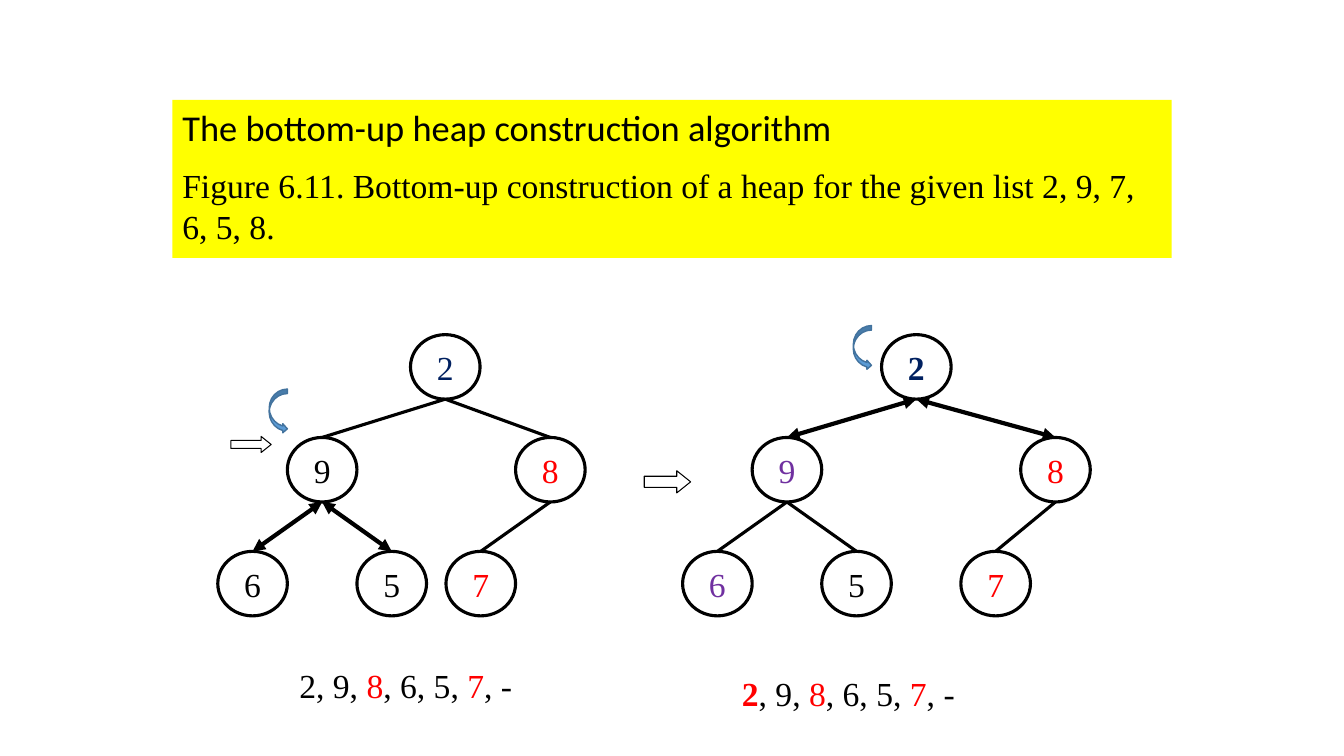
import pptx
import pptx.util
import pptx.dml.color
import pptx.enum.shapes
import pptx.enum.text
import pptx.oxml
import pptx.oxml.ns
from dataclasses import dataclass

SHAPE = pptx.enum.shapes.MSO_SHAPE
ALIGN = pptx.enum.text.PP_ALIGN
ANCHOR = pptx.enum.text.MSO_ANCHOR
FIT = pptx.enum.text.MSO_AUTO_SIZE
Inches = pptx.util.Inches
Pt = pptx.util.Pt


@dataclass(frozen=True)
class Theme:
    black: str = "000000"
    white: str = "FFFFFF"
    yellow: str = "FFFF00"
    red: str = "FF0000"
    navy: str = "002060"
    purple: str = "7030A0"
    blue: str = "5B9BD5"
    blue_line: str = "43739E"
    title_font: str = "Calibri"
    body_font: str = "Times New Roman"
    title_size: int = 26
    body_size: int = 24


T = Theme()

# Tree grid: columns are one node wide, rows are the tree levels
NODE_W, NODE_H = 0.69, 0.64
LEVELS = (0, 1.02, 2.15)
PARENT = {"9": "2", "8": "2", "6": "9", "5": "9", "7": "8"}
LEVEL = {"2": 0, "9": 1, "8": 1, "6": 2, "5": 2, "7": 2}


def rgb(color):
    return pptx.dml.color.RGBColor.from_string(color)


def add_run(p, text, *, size=T.body_size, font=T.body_font, color=T.black, bold=False):
    r = p.add_run()
    r.text = text
    r.font.size = Pt(size)
    r.font.name = font
    r.font.color.rgb = rgb(color)
    r.font.bold = bold


def add_shape(s, kind, x, y, w, h, *, fill=T.white, line=None, width=1):
    sp = s.shapes.add_shape(kind, Inches(x), Inches(y), Inches(w), Inches(h))
    sp.shadow.inherit = False
    sp.fill.solid()
    sp.fill.fore_color.rgb = rgb(fill)
    if line:
        sp.line.color.rgb = rgb(line)
        sp.line.width = Pt(width)
    else:
        sp.line.fill.background()
    return sp


def add_edge(s, start, end, swapped):
    c = s.shapes.add_connector(pptx.enum.shapes.MSO_CONNECTOR.STRAIGHT,
                               *(Inches(v) for v in (*start, *end)))
    c.line.color.rgb = rgb(T.black)
    c.line.width = Pt(3 if swapped else 2.25)
    if swapped:
        ln = c.line._get_or_add_ln()
        for tag in ("a:headEnd", "a:tailEnd"):
            tip = pptx.oxml.parse_xml(f"<{tag} {pptx.oxml.ns.nsdecls('a')}/>")
            tip.set("type", "triangle")
            ln.append(tip)
    c._element.spPr.append(
        pptx.oxml.parse_xml(f"<a:effectLst {pptx.oxml.ns.nsdecls('a')}/>"))


def add_step_arrow(s, x, y, w, h):
    sp = add_shape(s, SHAPE.RIGHT_ARROW, x, y, w, h, line=T.black, width=0.75)
    sp.adjustments[1] = 0.624


def add_banner(s, x, y, w, h):
    sp = add_shape(s, SHAPE.RECTANGLE, x, y, w, h, fill=T.yellow)
    tf = sp.text_frame
    tf.word_wrap = True
    tf.auto_size = FIT.SHAPE_TO_FIT_TEXT
    tf.vertical_anchor = ANCHOR.TOP
    title, caption = tf.paragraphs[0], tf.add_paragraph()
    title.space_after, caption.space_after = Pt(12), Pt(6)
    title.alignment = caption.alignment = ALIGN.LEFT
    add_run(title, "The bottom-up heap construction algorithm",
            size=T.title_size, font=T.title_font)
    add_run(caption, "Figure 6.11. Bottom-up construction of a heap "
                     "for the given list 2, 9, 7, 6, 5, 8.")


def add_tree(s, x, y, columns, colors, compared, turn):
    """Draw a heap; the edges below `compared` get two arrowheads."""
    spot = {key: (x + col * NODE_W, y + LEVELS[LEVEL[key]])
            for key, col in columns.items()}

    # Nodes
    for key, (left, top) in spot.items():
        sp = add_shape(s, SHAPE.OVAL, left, top, NODE_W, NODE_H,
                       line=T.black, width=2.25)
        tf = sp.text_frame
        tf.vertical_anchor = ANCHOR.MIDDLE
        p = tf.paragraphs[0]
        p.alignment = ALIGN.CENTER
        add_run(p, key, color=colors.get(key, T.black), bold=key == compared == "2")

    # Edges, from the bottom of the parent to the top of the child
    for child, parent in PARENT.items():
        (px, py), (cx, cy) = spot[parent], spot[child]
        add_edge(s, (px + NODE_W / 2, py + NODE_H), (cx + NODE_W / 2, cy),
                 parent == compared)

    # Curved arrow beside the compared node
    left, top = spot[compared]
    add_shape(s, SHAPE.CURVED_RIGHT_ARROW, left + turn[0], top + turn[1],
              0.18, 0.44, fill=T.blue, line=T.blue_line)


def add_array(s, x, y, w, h, root_format):
    tf = s.shapes.add_textbox(Inches(x), Inches(y), Inches(w), Inches(h)).text_frame
    tf.word_wrap = True
    tf.auto_size = FIT.SHAPE_TO_FIT_TEXT
    p = tf.paragraphs[0]
    add_run(p, "2", **root_format)
    for text, color in ((", 9, ", T.black), ("8", T.red), (", 6, 5, ", T.black),
                        ("7", T.red), (", -", T.black)):
        add_run(p, text, color=color)


def main():
    prs = pptx.Presentation()
    prs.slide_width, prs.slide_height = Inches(13.33), Inches(7.5)
    s = prs.slides.add_slide(prs.slide_layouts[6])

    add_banner(s, 1.71, 0.99, 9.91, 1.57)

    # Comparing node 9 with its children
    add_step_arrow(s, 2.29, 4.33, 0.4, 0.16)
    add_tree(s, 2.16, 3.32,
             {"2": 2.77, "9": 1, "8": 4.28, "6": 0, "5": 2, "7": 3.28},
             {"2": T.navy, "8": T.red, "7": T.red},
             compared="9", turn=(-0.18, -0.48))
    add_array(s, 2.87, 6.55, 2.61, 0.5, {})

    # Comparing the root with its children
    add_step_arrow(s, 6.39, 4.67, 0.46, 0.22)
    add_tree(s, 6.77, 3.32,
             {"2": 2.86, "9": 1, "8": 4.86, "6": 0, "5": 2, "7": 4},
             {"2": T.navy, "9": T.purple, "6": T.purple, "8": T.red, "7": T.red},
             compared="2", turn=(-0.28, -0.09))
    add_array(s, 7.26, 6.63, 2.61, 0.5, {"color": T.red, "bold": True})

    prs.save("out.pptx")


if __name__ == "__main__":
    main()
